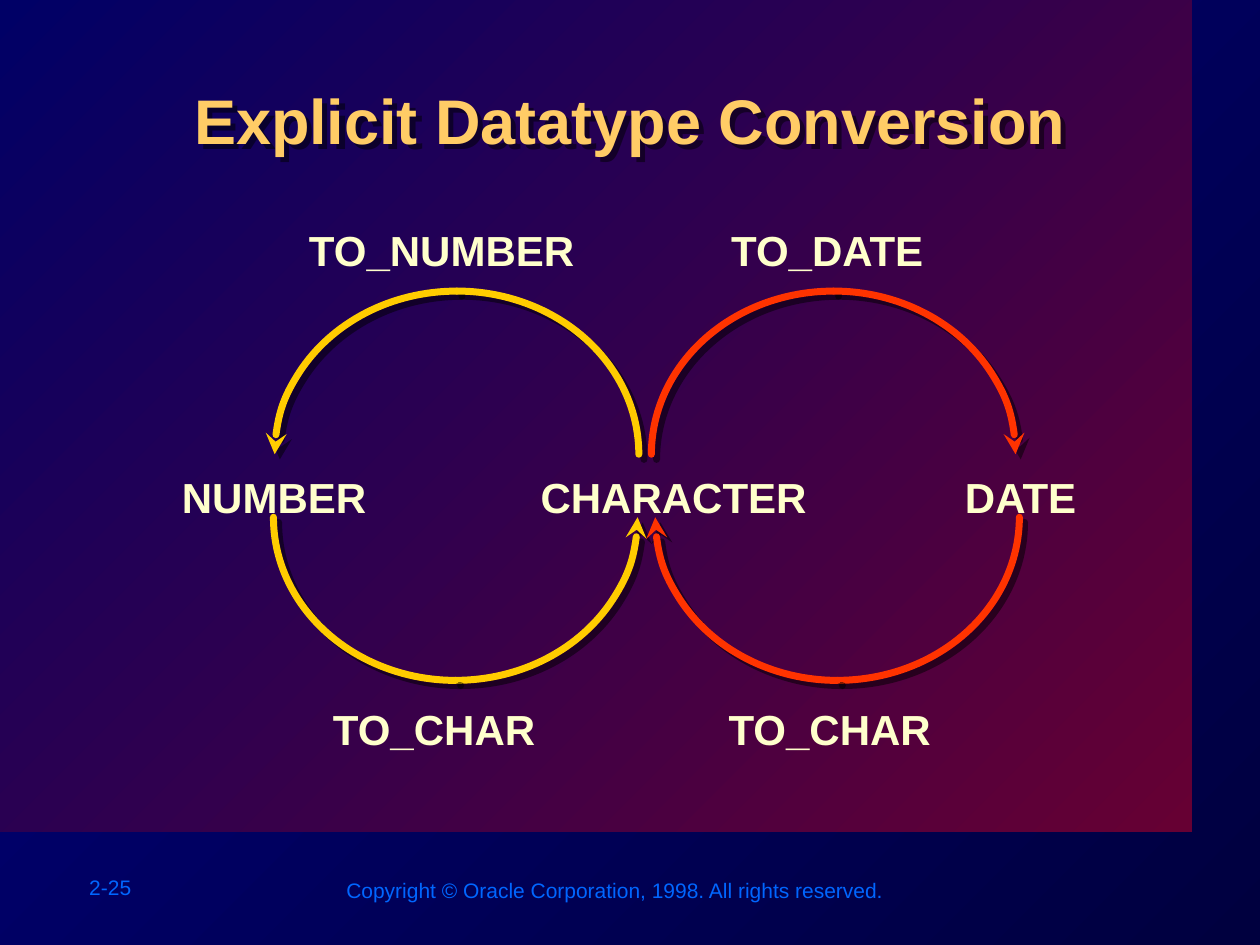
import pptx
import pptx.util
import pptx.dml.color
import pptx.enum.shapes
import pptx.enum.text
import pptx.oxml
import pptx.oxml.ns
from pptx.util import Inches

COLORS = {
    "night": "00003F", "navy": "000080",
    "wine": "660033", "blue": "000066",
    "title": "FFCC66", "label": "FFFFCC", "foot": "0066FF",
    "yellow": "FFCC00", "red": "FF3300",
}
SHADOW = (
    '<a:outerShdw %s dist="53340" dir="2700000" algn="ctr" rotWithShape="0">'
    '<a:srgbClr val="000000"><a:alpha val="50000"/></a:srgbClr>'
    '</a:outerShdw>' % pptx.oxml.ns.nsdecls("a")
)


def color(name):
    return pptx.dml.color.RGBColor.from_string(COLORS[name])


def blend(fill, start, end):
    """Fill with a gradient from bottom right to top left."""
    fill.gradient()
    fill.gradient_angle = 135
    for stop, name in zip(fill.gradient_stops, (start, end)):
        stop.color.rgb = color(name)


def shade(shape):
    """Give the shape a soft black shadow to the lower right."""
    shape.shadow.inherit = False
    effects = shape._element.spPr.find(pptx.oxml.ns.qn("a:effectLst"))
    effects.append(pptx.oxml.parse_xml(SHADOW))


def add_panel(slide):
    panel = slide.shapes.add_shape(
        pptx.enum.shapes.MSO_SHAPE.RECTANGLE, 0, 0, Inches(9.46), Inches(6.6))
    panel.shadow.inherit = False
    panel.line.fill.background()
    blend(panel.fill, "wine", "blue")


def add_text(slide, text, left, top, width, height, size, tint,
             bold=True, wrap=True):
    box = slide.shapes.add_textbox(
        Inches(left), Inches(top), Inches(width), Inches(height))
    frame = box.text_frame
    frame.word_wrap = wrap
    frame.margin_top = Inches(0.05 + size / 1000)
    para = frame.paragraphs[0]
    para.text = text
    if bold:
        para.alignment = pptx.enum.text.PP_ALIGN.CENTER
    font = para.font
    font.name = "Arial"
    font.size = pptx.util.Pt(size)
    font.bold = bold
    font.color.rgb = color(tint)
    return box


def add_arc(slide, left, top, start, turn, tint, head=None):
    """Draw a quarter of an ellipse; head is the XML tag of its arrow end."""
    arc = slide.shapes.add_shape(
        pptx.enum.shapes.MSO_SHAPE.ARC,
        Inches(left), Inches(top), Inches(2.89), Inches(2.59))
    # Angles count in 60000ths of a degree, adjustments in 100000ths.
    arc.adjustments[0] = start * 0.6
    arc.adjustments[1] = (start + 90) * 0.6
    arc.rotation = turn
    arc.fill.background()
    arc.line.color.rgb = color(tint)
    arc.line.width = pptx.util.Pt(4)
    line = arc.line._get_or_add_ln()
    line.set("cap", "rnd")
    if head:
        line.append(pptx.oxml.parse_xml(
            '<a:%s %s type="stealth"/>' % (head, pptx.oxml.ns.nsdecls("a"))))
    shade(arc)


def add_half(slide, left, top, turn, tint):
    """Draw half a loop: yellow points back to its start, red to its end."""
    yellow = tint == "yellow"
    add_arc(slide, left, top, 0, turn, tint, "headEnd" if yellow else None)
    add_arc(slide, left, top, 90, turn, tint, None if yellow else "tailEnd")


def main():
    deck = pptx.Presentation()
    deck.slide_width, deck.slide_height = Inches(10), Inches(7.5)
    slide = deck.slides.add_slide(deck.slide_layouts[6])
    blend(slide.background.fill, "night", "navy")
    add_panel(slide)

    add_text(slide, "2-25", 0.61, 6.88, 1.11, 0.3, 12, "foot", False, False)
    add_text(slide, "Copyright © Oracle Corporation, 1998. All rights reserved.",
             2.65, 6.9, 4.48, 0.3, 12, "foot", False, False)
    title = add_text(slide, "Explicit Datatype Conversion",
                     1.01, 0.56, 7.98, 0.96, 36, "title")
    shade(title)

    for left, top, turn, tint in (
            (2.17, 2.81, 0, "yellow"), (2.18, 2.31, 180, "yellow"),
            (5.2, 2.81, 0, "red"), (5.17, 2.31, 180, "red")):
        add_half(slide, left, top, turn, tint)

    for text, left, top, width in (
            ("NUMBER", 0.75, 3.67, 2.85), ("CHARACTER", 3.92, 3.67, 2.85),
            ("DATE", 7.15, 3.67, 1.9),
            ("TO_NUMBER", 2.08, 1.71, 2.85), ("TO_DATE", 5.14, 1.71, 2.85),
            ("TO_CHAR", 2.02, 5.51, 2.85), ("TO_CHAR", 5.16, 5.51, 2.85)):
        add_text(slide, text, left, top, width, 0.5, 24, "label")

    deck.save("out.pptx")


if __name__ == "__main__":
    main()
